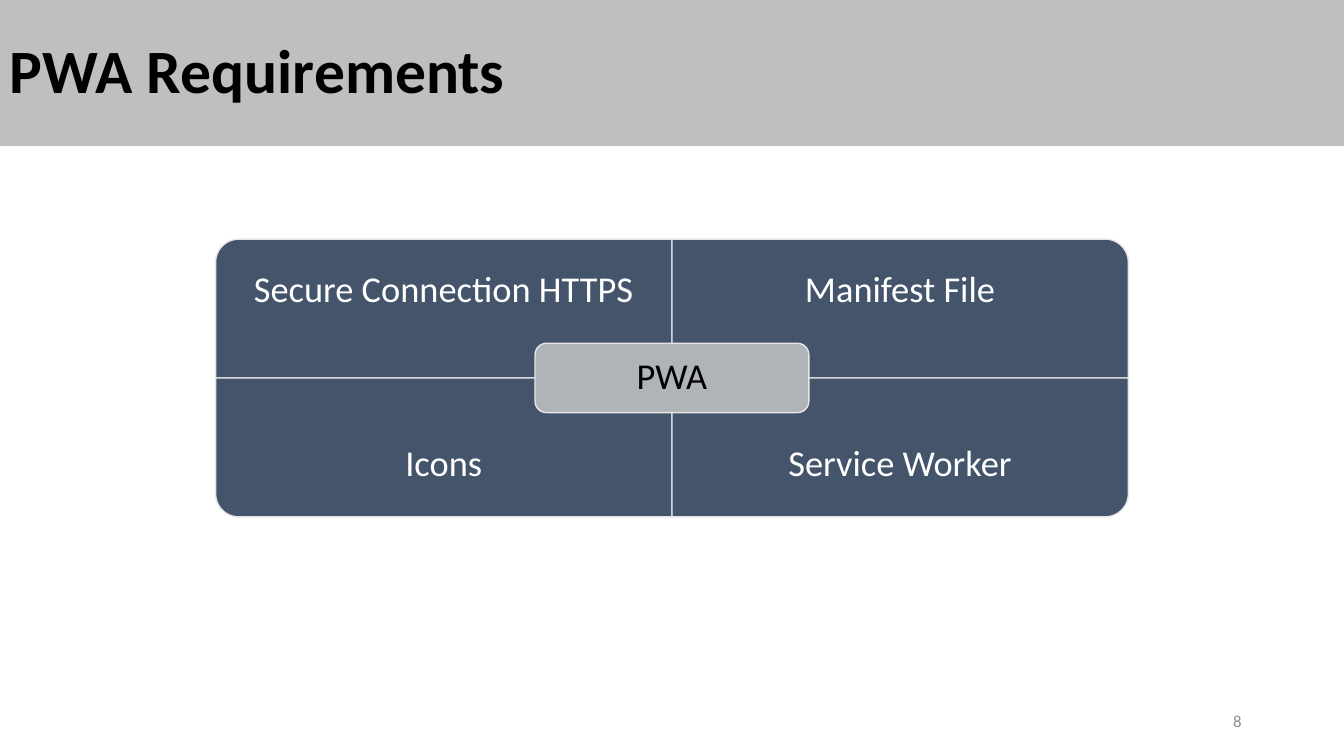
"""Build the PWA requirements slide: four tiles around a central hub."""
from pptx import Presentation, dml, util as u
from pptx.dml import color
from pptx.enum import shapes, text

TITLE = "PWA Requirements"
HUB = "PWA"
PAGE_NUMBER = "8"
TILES = [
    ("Secure Connection HTTPS", 0, 0, 270),
    ("Manifest File", 1, 0, 0),
    ("Icons", 0, 1, 180),
    ("Service Worker", 1, 1, 90),
]
PAGE_W, PAGE_H = 960, 540
CENTER_X, CENTER_Y = PAGE_W / 2, PAGE_H / 2
TILE_W, TILE_H = 326, 99.2
LABEL_H = TILE_H * 0.75
HUB_W, HUB_H = TILE_W * 0.6, TILE_H / 2
NAVY, EDGE, SILVER, BAR = "44546A", "E7E6E6", "B0B4B9", "BFBFBF"
LEFT, MIDDLE, RIGHT = text.PP_ALIGN.LEFT, text.PP_ALIGN.CENTER, text.PP_ALIGN.RIGHT
KIND = shapes.MSO_SHAPE

deck = Presentation()
deck.slide_width, deck.slide_height = u.Pt(PAGE_W), u.Pt(PAGE_H)
page = deck.slides.add_slide(deck.slide_layouts[6])


def rgb(code):
    return color.RGBColor.from_string(code)


def add_box(kind, left, top, width, height, fill, line=None):
    box = page.shapes.add_shape(kind, u.Pt(left), u.Pt(top), u.Pt(width), u.Pt(height))
    box.shadow.inherit = False
    box.fill.solid()
    box.fill.fore_color.rgb = rgb(fill)
    if line:
        box.line.color.rgb = rgb(line)
        box.line.width = u.Pt(1)
    else:
        box.line.fill.background()
    return box


def add_label(left, top, width, height):
    return page.shapes.add_textbox(u.Pt(left), u.Pt(top), u.Pt(width), u.Pt(height))


def write(box, words, size, ink, align=MIDDLE, bold=False, inset=7.2, spacing=0.9):
    frame = box.text_frame
    frame.word_wrap = True
    frame.vertical_anchor = text.MSO_ANCHOR.MIDDLE
    frame.margin_left = frame.margin_right = u.Pt(inset)
    frame.margin_top = frame.margin_bottom = u.Pt(inset / 2)
    para = frame.paragraphs[0]
    para.alignment = align
    para.line_spacing = spacing
    span = para.add_run()
    span.text = words
    span.font.name = "Calibri"
    span.font.size = u.Pt(size)
    span.font.bold = bold
    span.font.color.rgb = rgb(ink)


for words, column, row, turn in TILES:
    left = CENTER_X + (column - 1) * TILE_W
    top = CENTER_Y + (row - 1) * TILE_H
    width, height = (TILE_H, TILE_W) if turn % 180 else (TILE_W, TILE_H)
    tile = add_box(KIND.ROUND_1_RECTANGLE, left + (TILE_W - width) / 2,
                   top + (TILE_H - height) / 2, width, height, NAVY, EDGE)
    tile.rotation = turn
    label = add_label(left, top + row * (TILE_H - LABEL_H), TILE_W, LABEL_H)
    write(label, words, 26, "FFFFFF", inset=14.4)

hub = add_box(KIND.ROUNDED_RECTANGLE, CENTER_X - HUB_W / 2, CENTER_Y - HUB_H / 2,
              HUB_W, HUB_H, SILVER, EDGE)
write(hub, HUB, 26, "000000")

number = add_label(678, 500.4, 216, 28.8)
write(number, PAGE_NUMBER, 12, "8C8C8C", RIGHT, spacing=1)

title = add_box(KIND.RECTANGLE, 0, 0, PAGE_W, 104.4, BAR)
write(title, TITLE, 44, "000000", LEFT, bold=True)

deck.save("out.pptx")
